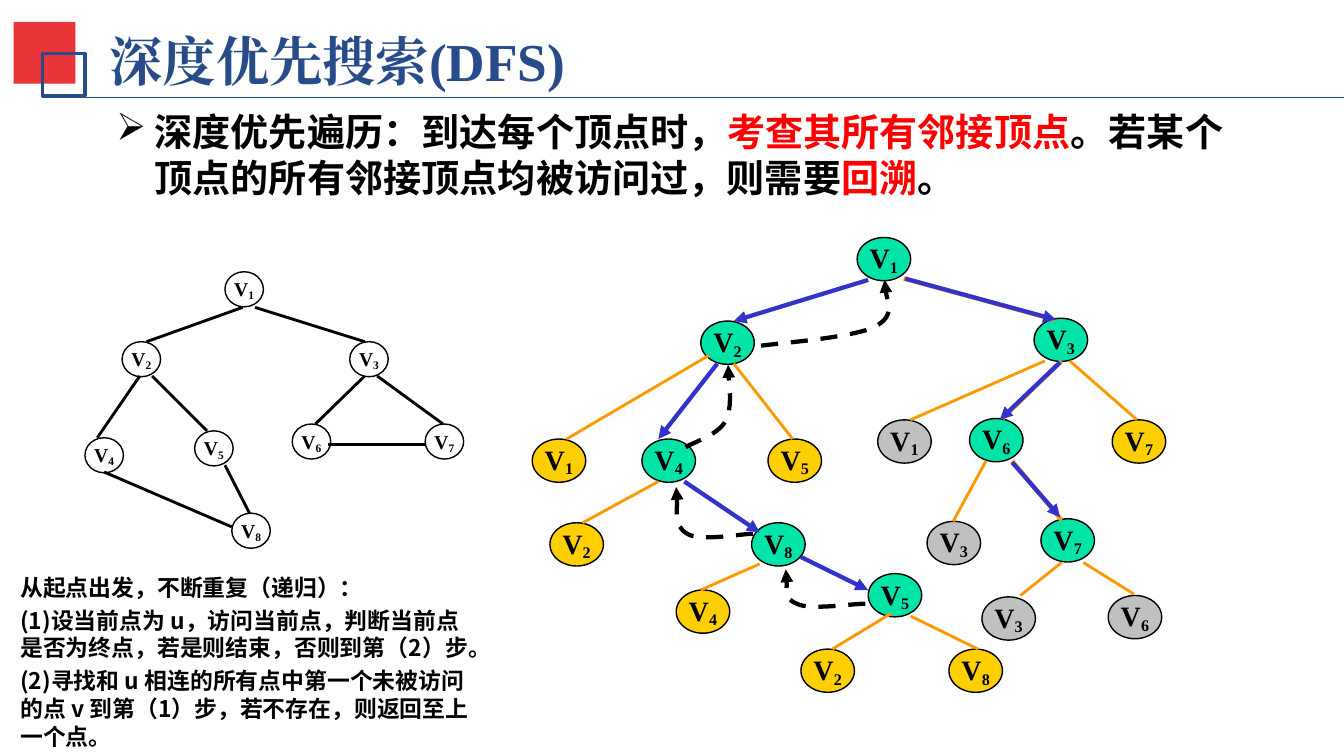
from lxml import etree
from pptx import Presentation
from pptx.dml.color import RGBColor
from pptx.enum.dml import MSO_LINE
from pptx.enum.shapes import MSO_CONNECTOR as LINK, MSO_SHAPE as SHAPE
from pptx.enum.text import MSO_ANCHOR as ANCHOR, PP_ALIGN as ALIGN
from pptx.oxml.ns import qn
from pptx.util import Pt

BLACK = RGBColor(0, 0, 0)
WHITE = RGBColor(0xFF, 0xFF, 0xFF)
RED = RGBColor(0xFF, 0, 0)
NAVY = RGBColor(0x28, 0x4C, 0x8A)
CORAL = RGBColor(0xE9, 0x35, 0x38)
GREEN = RGBColor(0, 0xE4, 0xA8)
YELLOW = RGBColor(0xFF, 0xCF, 0x01)
GRAY = RGBColor(0xC0, 0xC0, 0xC0)
BLUE = RGBColor(0x33, 0x33, 0xCC)
ORANGE = RGBColor(0xFF, 0x99, 0)
SERIF, SANS = "Times New Roman", "Noto Sans CJK SC"

deck = Presentation()
deck.slide_width, deck.slide_height = Pt(705.6), Pt(396.72)
slide = deck.slides.add_slide(deck.slide_layouts[6])
shapes = slide.shapes


def style(run, size, color, face):
    font = run.font
    font.size, font.bold, font.name = Pt(size), True, face
    font.color.rgb = color
    etree.SubElement(run._r.rPr, qn("a:ea")).set("typeface", face)


def stroke(shape, color, width, arrow=False):
    """Set the line of a shape or connector, with an arrowhead if asked."""
    shape.line.color.rgb = color
    shape.line.width = Pt(width)
    if arrow:
        etree.SubElement(shape.line._ln, qn("a:tailEnd")).set("type", "triangle")


# Header
box = shapes.add_textbox(Pt(52.6), Pt(11.5), Pt(527), Pt(39.6))
frame = box.text_frame
frame.word_wrap = True
frame.vertical_anchor = ANCHOR.MIDDLE
frame.margin_left = frame.margin_right = Pt(5)
frame.margin_top = frame.margin_bottom = Pt(2.9)
frame.text = "深度优先搜索(DFS)"
style(frame.paragraphs[0].runs[0], 28, NAVY, SERIF)

block = shapes.add_shape(SHAPE.RECTANGLE, Pt(7.2), Pt(11.5), Pt(32.4), Pt(32.4))
block.fill.solid()
block.fill.fore_color.rgb = CORAL
block.line.fill.background()
block.shadow.inherit = False
square = shapes.add_shape(SHAPE.RECTANGLE, Pt(22.3), Pt(28.1), Pt(22.3), Pt(22.3))
square.fill.background()
stroke(square, NAVY, 2)
square.shadow.inherit = False

# Definition
box = shapes.add_textbox(Pt(54), Pt(53.3), Pt(610.6), Pt(83.5))
frame = box.text_frame
frame.word_wrap = True
para = frame.paragraphs[0]
props = para._p.get_or_add_pPr()
props.set("marL", str(Pt(20)))
props.set("indent", str(-Pt(20)))
tint = etree.SubElement(props, qn("a:buClr"))
etree.SubElement(tint, qn("a:srgbClr")).set("val", str(BLACK))
etree.SubElement(props, qn("a:buChar")).set("char", "➢")
para.line_spacing = Pt(24)
for words, color in [
    ("深度优先遍历：到达每个顶点时，", BLACK),
    ("考查其所有邻接顶点", RED),
    ("。若某个顶点的所有邻接顶点均被访问过，则需要", BLACK),
    ("回溯", RED),
    ("。", BLACK),
]:
    run = para.add_run()
    run.text = words
    style(run, 20, color, SANS)

# Nodes: fill, width, height, text size, then (number, left, top)
groups = [
    (WHITE, 20.2, 18.4, 10.3, [
        (1, 118.1, 142.6), (2, 64.1, 179.3), (3, 183.6, 179.3), (4, 44.6, 229.7),
        (5, 102.2, 226.1), (6, 153.4, 222.5), (7, 223.2, 222.5), (8, 121.7, 269.3)]),
    (GREEN, 28.1, 22.7, 14.7, [
        (1, 450, 124.6), (2, 367.9, 168.5), (4, 337, 230.4), (8, 394.6, 274.3),
        (5, 455.8, 301), (3, 542.9, 167), (6, 509, 219.6), (7, 546.5, 272.2)]),
    (YELLOW, 28.1, 22.7, 14.7, [
        (1, 279.4, 230.4), (5, 403.2, 230.4), (2, 288.7, 274.3), (4, 355, 309.6),
        (2, 420.5, 340.6), (8, 498.2, 340.6), (7, 583.9, 220.3)]),
    (GRAY, 28.1, 22.7, 14.7, [
        (1, 460.8, 220.3), (3, 486.7, 273.6), (3, 515.5, 313.2), (6, 581.8, 312.5)]),
]
for fill, width, height, size, nodes in groups:
    for number, left, top in nodes:
        node = shapes.add_shape(SHAPE.OVAL, Pt(left), Pt(top), Pt(width), Pt(height))
        node.shadow.inherit = False
        node.fill.solid()
        node.fill.fore_color.rgb = fill
        stroke(node, BLACK, 0.75)
        frame = node.text_frame
        frame.word_wrap = False
        frame.margin_left = frame.margin_right = frame.margin_bottom = 0
        frame.margin_top = Pt(2.2)
        para = frame.paragraphs[0]
        para.alignment = ALIGN.CENTER
        para.line_spacing = 0.72
        for words in ("V", str(number)):
            run = para.add_run()
            run.text = words
            style(run, size, BLACK, SERIF)
        run._r.rPr.set("baseline", "-16000")

# Lines: color, width, arrow, then (x1, y1, x2, y2)
links = [
    (NAVY, 0.75, False, [(27.4, 51.1, 705.6, 51.1)]),
    (BLACK, 1.5, False, [
        (127.4, 161.3, 77, 179.3), (133.9, 161.3, 191.5, 179.3),
        (73.4, 197.3, 51.1, 229.7), (79.9, 197.3, 108.7, 226.1),
        (54.7, 247.7, 121.7, 276.5), (131, 269.3, 118.1, 244.1),
        (191.5, 197.3, 165.6, 222.5), (198, 197.3, 232.6, 222.5),
        (172.1, 233.3, 223.2, 233.3)]),
    (ORANGE, 1.5, False, [
        (372.2, 186.5, 297.4, 230.4), (385.2, 190.8, 416.2, 230.4),
        (345.6, 252.7, 306, 274.3), (398.9, 295.9, 367.9, 309.6),
        (468, 321.8, 437, 340.6), (478.1, 323.3, 513.4, 340.6),
        (548.6, 189.4, 478.1, 220.3), (561.6, 189.4, 596.9, 220.3),
        (517.7, 241.9, 500.4, 273.6), (557.3, 295.2, 535.7, 312.5),
        (568.8, 295.2, 595.4, 311.8)]),
    (ORANGE, 2.25, False, [
        (474.5, 146.2, 553.7, 167.8), (557.3, 189.4, 526.3, 219.6),
        (531.4, 241.9, 557.3, 272.9)]),
    (BLUE, 2.25, True, [
        (455.8, 146.9, 385.2, 168.5), (376.6, 190.8, 345.6, 230.4),
        (359.3, 252.7, 398.9, 279.4), (420.5, 292.3, 455.8, 309.6),
        (475.2, 146.2, 554.4, 167.8), (556.6, 190.1, 524.9, 220.3),
        (531.4, 242.6, 556.6, 271.4)]),
]
for color, width, arrow, ends in links:
    for end in ends:
        link = shapes.add_connector(LINK.STRAIGHT, *map(Pt, end))
        stroke(link, color, width, arrow)
        etree.SubElement(link._element.spPr, qn("a:effectLst"))

# Backtracking curves: a start, then two cubic segments of three points each
curves = [
    [(454.3, 316.8), (447.8, 316.8), (424.8, 320.4), (418.3, 316.8),
     (411.1, 313.9), (414, 301.7), (412.6, 298.8)],
    [(395.3, 280.1), (389.5, 280.1), (367.2, 284.4), (360.7, 280.1),
     (353.5, 275.8), (356.4, 259.2), (355, 255.6)],
    [(360, 234.7), (362.9, 232.6), (377.3, 228.2), (380.9, 221),
     (384.5, 213.8), (382.3, 196.6), (382.3, 191.5)],
    [(399.6, 181.4), (409.7, 180), (448.6, 177.1), (459.4, 171.4),
     (470.2, 165.6), (463.7, 151.2), (464.4, 146.9)],
]
for points in curves:
    start, *rest = [(Pt(x), Pt(y)) for x, y in points]
    pen = shapes.build_freeform(*start)
    pen.add_line_segments(rest, close=False)
    curve = pen.convert_to_shape()
    steps = list(curve._element.iter(qn("a:lnTo")))
    for first in range(0, len(steps), 3):
        bend = etree.Element(qn("a:cubicBezTo"))
        steps[first].addprevious(bend)
        for step in steps[first:first + 3]:
            bend.append(step[0])
            step.getparent().remove(step)
    curve.fill.background()
    curve.shadow.inherit = False
    curve.line.dash_style = MSO_LINE.DASH
    stroke(curve, BLACK, 2.25, True)

# Procedure
box = shapes.add_textbox(Pt(3.6), Pt(297.4), Pt(256.3), Pt(99))
frame = box.text_frame
frame.word_wrap = True
frame.text = "\n".join([
    "从起点出发，不断重复（递归）：",
    "(1)设当前点为 u，访问当前点，判断当前点是否为终点，若是则结束，否则到第（2）步。",
    "(2)寻找和 u 相连的所有点中第一个未被访问的点 v 到第（1）步，若不存在，则返回至上一个点。",
])
for index, para in enumerate(frame.paragraphs):
    para.line_spacing = Pt(14.6)
    if index:
        para.space_before = Pt(2.4)
    style(para.runs[0], 12, BLACK, SANS)

deck.save("out.pptx")
